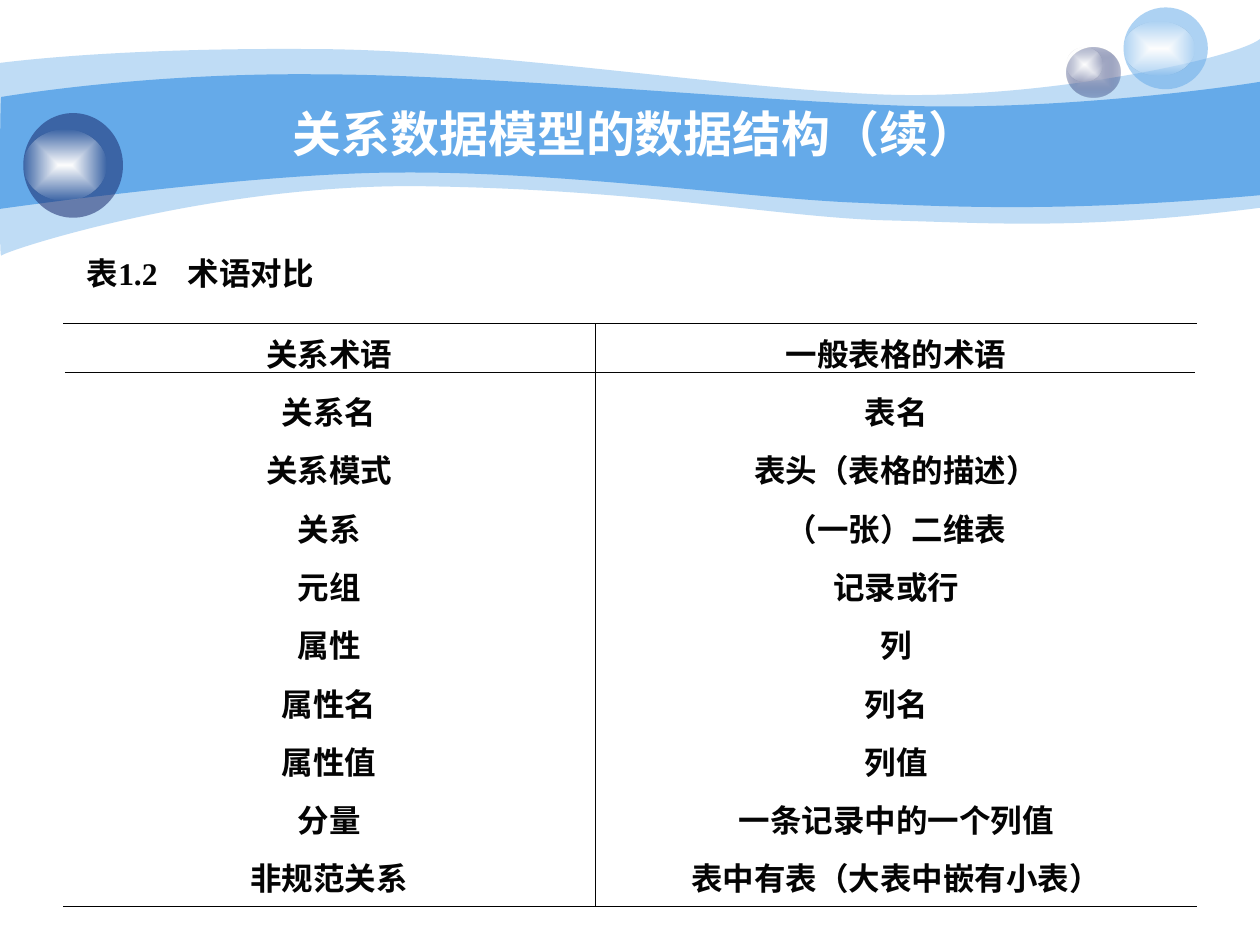
from lxml import etree
from pptx import Presentation
from pptx.dml.color import RGBColor
from pptx.enum.shapes import MSO_CONNECTOR, MSO_SHAPE
from pptx.enum.text import MSO_ANCHOR, PP_ALIGN
from pptx.oxml import parse_xml
from pptx.oxml.ns import nsdecls, qn
from pptx.util import Cm, Pt

CENTER, LEFT = PP_ALIGN.CENTER, PP_ALIGN.LEFT
MIDDLE = MSO_ANCHOR.MIDDLE
OVAL = MSO_SHAPE.OVAL
STRAIGHT = MSO_CONNECTOR.STRAIGHT

COLORS = {"sky": "65AAE9", "navy": "16266A", "mist": "C4C8D9",
          "white": "FFFFFF", "ink": "040404", "rule": "000000"}
PLAIN_TABLE = "{2D5ABB26-0587-4C30-8999-92F81FD0307C}"

OUTER_WAVE = [
    [(0, 0.5), (0.24, 0.47), (1.07, 0.38), (2.47, 0.39), (3.86, 0.39),
     (5.75, 0.7), (6.99, 0.75), (8.22, 0.8), (9.8, 0.47), (10, 0.31)],
    [(10, 1.65), (8.58, 1.83), (7.87, 1.77), (7.05, 1.75), (6.22, 1.73),
     (5.15, 1.51), (3.43, 1.48), (1.72, 1.44), (0.04, 1.99), (0.01, 2.03),
     (-0.01, 2.08), (0, 0.75), (0, 0.5)],
]
INNER_WAVE = [
    [(0.01, 0.77), (0.02, 0.77), (1.1, 0.58), (2.48, 0.59), (3.86, 0.59),
     (5.95, 0.8), (7.18, 0.84), (8.41, 0.88), (9.76, 0.69), (10, 0.65)],
    [(10, 1.55), (8.53, 1.68), (7.65, 1.65), (6.82, 1.61), (5.99, 1.58),
     (4.47, 1.36), (3.17, 1.37), (2.03, 1.37), (-0.02, 1.66), (-0.01, 1.66),
     (0, 1.66), (0, 0.77), (0.01, 0.77)],
]
TERMS = [
    ("关系术语", "一般表格的术语"),
    ("关系名", "表名"),
    ("关系模式", "表头（表格的描述）"),
    ("关系", "（一张）二维表"),
    ("元组", "记录或行"),
    ("属性", "列"),
    ("属性名", "列名"),
    ("属性值", "列值"),
    ("分量", "一条记录中的一个列值"),
    ("非规范关系", "表中有表（大表中嵌有小表）"),
]


def rgb(color):
    return RGBColor.from_string(COLORS[color])


def style(paragraph, size, face, color, align):
    paragraph.alignment = align
    font = paragraph.font
    font.size, font.name, font.bold = Pt(size), face, True
    font.color.rgb = rgb(color)


def fill_solid(shape, color, opacity=100):
    shape.shadow.inherit = False
    shape.line.fill.background()
    shape.fill.solid()
    shape.fill.fore_color.rgb = rgb(color)
    if opacity < 100:
        tint = shape.fill._xPr.find(".//" + qn("a:srgbClr"))
        etree.SubElement(tint, qn("a:alpha"), val=str(opacity * 1000))


def fill_glow(shape, inner, outer, outer_opacity):
    fill_solid(shape, inner)
    solid = shape.fill._xPr.find(qn("a:solidFill"))
    glow = parse_xml(
        f'<a:gradFill {nsdecls("a")} rotWithShape="1"><a:gsLst>'
        f'<a:gs pos="0"><a:srgbClr val="{COLORS[inner]}"/></a:gs>'
        f'<a:gs pos="100000"><a:srgbClr val="{COLORS[outer]}">'
        f'<a:alpha val="{outer_opacity * 1000}"/></a:srgbClr></a:gs></a:gsLst>'
        '<a:path path="rect"><a:fillToRect l="50000" t="50000" r="50000" b="50000"/>'
        '</a:path></a:gradFill>')
    solid.getparent().replace(solid, glow)


def merge_into_curves(segments):
    for i in range(0, len(segments), 3):
        curve = etree.Element(qn("a:cubicBezTo"))
        segments[i].addprevious(curve)
        for segment in segments[i:i + 3]:
            curve.append(segment[0])
            segment.getparent().remove(segment)


def add_wave(slide, left, top, width, edges, opacity):
    upper, lower = edges
    points = [(Cm(left + x * width / 10), Cm(top + y * width / 10))
              for x, y in upper + lower]
    builder = slide.shapes.build_freeform(*points[0])
    builder.add_line_segments(points[1:], close=True)
    wave = builder.convert_to_shape()
    segments = list(wave._element.iter(qn("a:lnTo")))
    merge_into_curves(segments[:len(upper) - 1])
    merge_into_curves(segments[len(upper):len(points) - 1])
    fill_solid(wave, "sky", opacity)


def add_bubble(slide, left, top, width, height, shine, color, opacity, core=None):
    ball = slide.shapes.add_shape(OVAL, Cm(left), Cm(top), Cm(width), Cm(height))
    if core:
        fill_glow(ball, core, color, opacity)
    else:
        fill_solid(ball, color, opacity)
    drop, shine_width, shine_height = shine
    highlight = slide.shapes.add_shape(
        OVAL, Cm(left), Cm(top + drop), Cm(shine_width), Cm(shine_height))
    fill_glow(highlight, "white", "white", 0)


def add_banner(slide, left, top, width):
    add_wave(slide, left, top, width, OUTER_WAVE, 41)
    add_wave(slide, left, top, width, INNER_WAVE, 100)
    add_bubble(slide, left + 21.51, top + 0.95, 1.07, 1.02,
               (0, 0.71, 0.69), "navy", 31, core="mist")
    add_bubble(slide, left + 22.65, top + 0.15, 1.7, 1.65, (0.28, 1.42, 1.09), "sky", 53)
    add_bubble(slide, left + 0.47, top + 2.28, 2.01, 2.11, (0.34, 1.68, 1.42), "navy", 53)


def add_title(slide, left, top, width, height):
    frame = slide.shapes.add_textbox(Cm(left), Cm(top), Cm(width), Cm(height)).text_frame
    frame.word_wrap = True
    frame.vertical_anchor = MIDDLE
    title = frame.paragraphs[0]
    title.text = "关系数据模型的数据结构（续）"
    style(title, 28, "Arial", "white", CENTER)


def add_caption(slide, left, top, width, height):
    frame = slide.shapes.add_textbox(Cm(left), Cm(top), Cm(width), Cm(height)).text_frame
    frame.word_wrap = True
    frame.margin_left = Cm(1.22)
    caption = frame.paragraphs[0]
    caption.text = "表1.2\t术语对比"
    tabs = etree.SubElement(caption._p.get_or_add_pPr(), qn("a:tabLst"))
    etree.SubElement(tabs, qn("a:tab"), pos=str(Cm(2.04)), algn="l")
    style(caption, 18, "Times New Roman", "ink", LEFT)


def add_border(cell, side, color):
    cell._tc.get_or_add_tcPr().append(parse_xml(
        f'<a:{side} {nsdecls("a")} w="{Pt(0.45)}"><a:solidFill>'
        f'<a:srgbClr val="{COLORS[color]}"/></a:solidFill></a:{side}>'))


def add_terms(slide, left, top, width, height):
    last = len(TERMS) - 1
    first_width = 10.73
    table = slide.shapes.add_table(
        len(TERMS), 2, Cm(left), Cm(top), Cm(width), Cm(height)).table
    table.first_row = table.horz_banding = False
    table._tbl.tblPr.find(qn("a:tableStyleId")).text = PLAIN_TABLE
    table.columns[0].width = Cm(first_width)
    table.columns[1].width = Cm(width - first_width)
    for r, pair in enumerate(TERMS):
        for c, term in enumerate(pair):
            cell = table.cell(r, c)
            cell.text = term
            style(cell.text_frame.paragraphs[0], 18, "Times New Roman", "ink", CENTER)
            add_border(cell, "lnL" if c else "lnR", "ink")
            if r == 0:
                add_border(cell, "lnT", "rule")
            if r == last:
                add_border(cell, "lnB", "rule")
            cell.fill.background()

    header_y = Cm(top + 0.99)
    header_rule = slide.shapes.add_connector(
        STRAIGHT, Cm(left + 0.04), header_y, Cm(left + width - 0.04), header_y)
    header_rule.line.color.rgb = rgb("ink")
    header_rule.line.width = Pt(0.75)
    etree.SubElement(header_rule._element.spPr, qn("a:effectLst"))


def main():
    deck = Presentation()
    deck.slide_width, deck.slide_height = Cm(25.4), Cm(19.05)
    slide = deck.slides.add_slide(deck.slide_layouts[6])
    add_banner(slide, 0, 0, 25.4)
    add_title(slide, 2.54, 1.9, 20.52, 1.57)
    add_terms(slide, 1.27, 6.52, 22.86, 11.75)
    add_caption(slide, 0.53, 5, 7.14, 1.02)
    deck.save("out.pptx")


if __name__ == "__main__":
    main()
